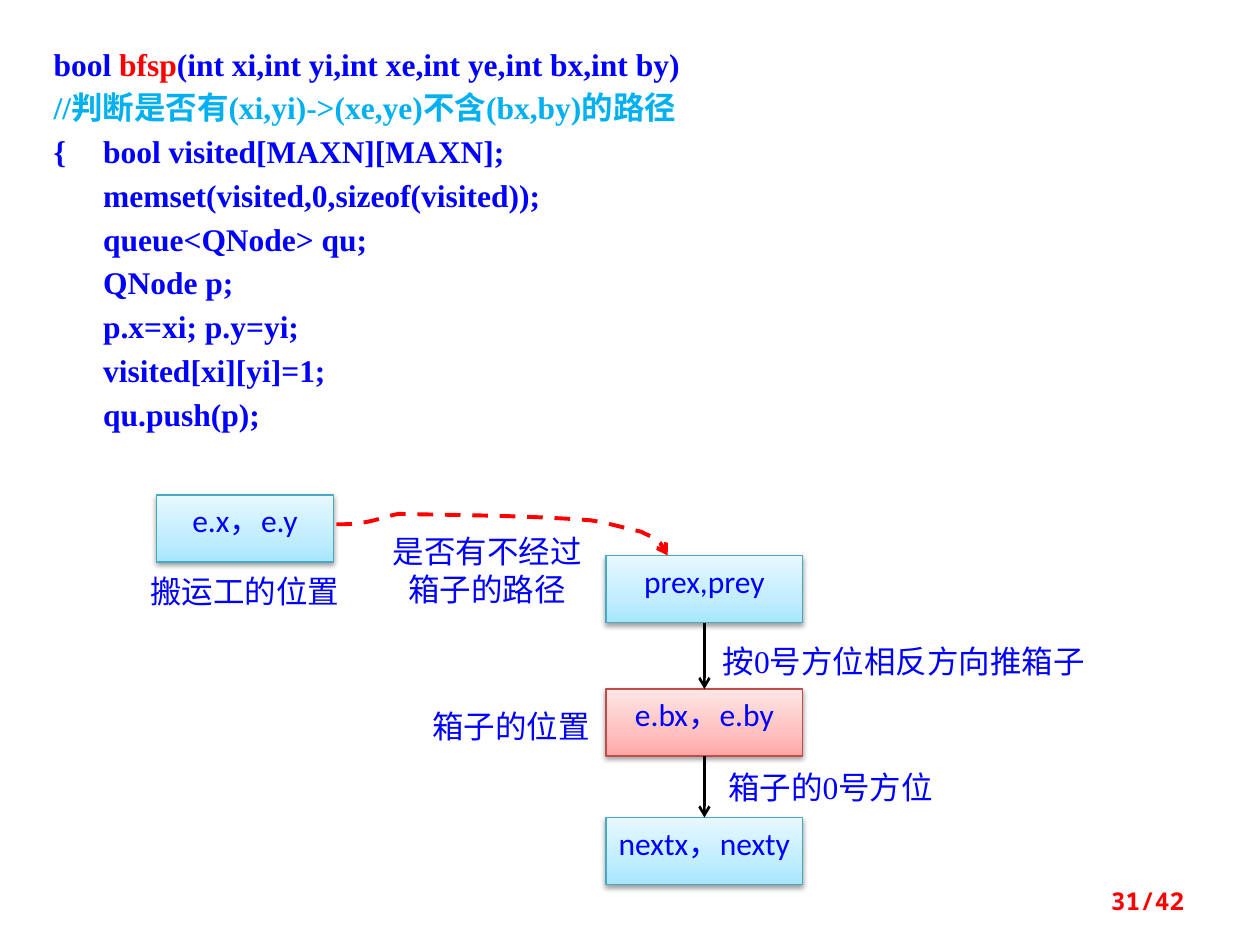
from lxml import etree
from pptx import Presentation, util as u
from pptx.dml.color import RGBColor
from pptx.enum import dml, shapes, text
from pptx.oxml import parse_xml
from pptx.oxml.ns import nsdecls, qn

COLORS = {
    "white": "FFFFFF", "code": "0000FF", "red": "FF0000",
    "comment": "00B0F0", "arrow": "000000",
    "blue_line": "46AAC5", "pink_line": "BF4C48",
}
GRADIENTS = {
    "blue": ("A7E6FF", "C1EDFF", "E7F8FF"),
    "pink": ("FFA6A5", "FFC0BF", "FFE7E7"),
}
SERIF, SANS, MONO = "Times New Roman", "Calibri", "Noto Sans Mono"

CODE = [
    [("bool ", "code"), ("bfsp", "red"),
     ("(int xi,int yi,int xe,int ye,int bx,int by)", "code")],
    [("//判断是否有(xi,yi)->(xe,ye)不含(bx,by)的路径", "comment")],
    [("{  \tbool visited[MAXN][MAXN];", "code")],
    [("\tmemset(visited,0,sizeof(visited));", "code")],
    [("\tqueue<QNode> qu;", "code")],
    [("\tQNode p;", "code")],
    [("\tp.x=xi; p.y=yi;", "code")],
    [("\tvisited[xi][yi]=1;", "code")],
    [("\tqu.push(p);", "code")],
]
NODE_X, NODE_W, NODE_H = 12.22, 3.96, 1.35
PATH_START = (678, 1057)
PATH_POINTS = [
    (693, 1057), (711, 1057), (726, 1054),
    (752, 1052), (777, 1041), (803, 1036),
    (942, 1039), (1057, 1039), (1191, 1049),
    (1224, 1054), (1257, 1064), (1293, 1072),
    (1300, 1077), (1313, 1080), (1321, 1087),
    (1336, 1097), (1326, 1092), (1339, 1105),
    (1349, 1118), (1346, 1107), (1346, 1120),
]


def rgb(name):
    return RGBColor.from_string(COLORS[name])


def apply(obj, fmt):
    for name, value in fmt.items():
        setattr(obj, name, value)


def set_frame(tf, left=0, top=0, right=0, bottom=0,
              anchor=text.MSO_ANCHOR.TOP):
    apply(tf, {
        "word_wrap": True, "vertical_anchor": anchor,
        "margin_left": u.Cm(left), "margin_top": u.Cm(top),
        "margin_right": u.Cm(right), "margin_bottom": u.Cm(bottom),
    })


def add_run(p, content, color="code", font=SERIF, size=18, bold=False):
    r = p.add_run()
    r.text = content
    apply(r.font, {"name": font, "size": u.Pt(size), "bold": bold})
    r.font.color.rgb = rgb(color)


def add_rect(s, x, y, w, h):
    sp = s.shapes.add_shape(shapes.MSO_SHAPE.RECTANGLE,
                            u.Cm(x), u.Cm(y), u.Cm(w), u.Cm(h))
    sp.shadow.inherit = False
    sp.fill.solid()
    sp.fill.fore_color.rgb = rgb("white")
    sp.line.fill.background()
    return sp


def add_code(s):
    sp = add_rect(s, 0.58, 0.58, 24, 8.36)
    tf = sp.text_frame
    set_frame(tf, 0.5, 0.2, 0.25, 0.2)
    tf.auto_size = text.MSO_AUTO_SIZE.SHAPE_TO_FIT_TEXT
    for i, runs in enumerate(CODE):
        p = tf.paragraphs[0] if i == 0 else tf.add_paragraph()
        tabs = etree.SubElement(p._p.get_or_add_pPr(), qn("a:tabLst"))
        etree.SubElement(tabs, qn("a:tab"), pos=str(u.Cm(1)), algn="l")
        apply(p, {"alignment": text.PP_ALIGN.LEFT, "line_spacing": u.Pt(25)})
        for content, color in runs:
            add_run(p, content, color, bold=True)


def add_label(s, content, x, y, w, h):
    tf = add_rect(s, x, y, w, h).text_frame
    set_frame(tf)
    p = tf.paragraphs[0]
    p.alignment = text.PP_ALIGN.CENTER
    add_run(p, content)


def add_node(s, content, y, x=NODE_X, w=NODE_W, tone="blue"):
    sp = add_rect(s, x, y, w, NODE_H)
    stops = "".join(
        f'<a:gs pos="{pos}000"><a:srgbClr val="{color}"/></a:gs>'
        for pos, color in zip((0, 35, 100), GRADIENTS[tone]))
    solid = sp._element.spPr.find(qn("a:solidFill"))
    solid.getparent().replace(solid, parse_xml(
        f'<a:gradFill {nsdecls("a")} rotWithShape="1"><a:gsLst>{stops}</a:gsLst>'
        '<a:lin ang="16200000" scaled="1"/></a:gradFill>'))
    sp.line.color.rgb = rgb(f"{tone}_line")
    sp.line.width = u.Pt(0.75)
    sp._element.spPr.find(qn("a:effectLst")).append(parse_xml(
        f'<a:outerShdw {nsdecls("a")} blurRad="40000" dist="20000" '
        'dir="5400000" rotWithShape="0"><a:srgbClr val="000000">'
        '<a:alpha val="38000"/></a:srgbClr></a:outerShdw>'))
    set_frame(sp.text_frame, top=0.13)
    p = sp.text_frame.paragraphs[0]
    p.alignment = text.PP_ALIGN.CENTER
    add_run(p, content, font=SANS)
    return sp


def style_arrow(sp, color, width):
    sp.line.color.rgb = rgb(color)
    sp.line.width = u.Pt(width)
    etree.SubElement(sp.line._get_or_add_ln(), qn("a:tailEnd"), type="arrow")


def add_arrow(s, upper, lower):
    c = s.shapes.add_connector(shapes.MSO_CONNECTOR.STRAIGHT, 0, 0, 0, 0)
    c.begin_connect(upper, 2)
    c.end_connect(lower, 0)
    style_arrow(c, "arrow", 1.5)
    etree.SubElement(c._element.spPr, qn("a:effectLst"))


def add_walk_path(s):
    builder = s.shapes.build_freeform(*PATH_START, scale=u.Cm(0.01))
    builder.add_line_segments(PATH_POINTS, close=False)
    sp = builder.convert_to_shape()
    sp.shadow.inherit = False
    sp.fill.background()
    sp.line.dash_style = dml.MSO_LINE.DASH
    style_arrow(sp, "red", 2.25)
    path = next(sp._element.iter(qn("a:path")))
    lines = path.findall(qn("a:lnTo"))
    for i in range(0, len(lines), 3):
        curve = etree.SubElement(path, qn("a:cubicBezTo"))
        for line in lines[i:i + 3]:
            curve.append(line[0])
            path.remove(line)


def add_page_number(s):
    tb = s.shapes.add_textbox(u.Cm(18.21), u.Cm(17.65), u.Cm(5.92), u.Cm(1.02))
    set_frame(tb.text_frame, 0.25, 0.13, 0.25, 0.13, text.MSO_ANCHOR.MIDDLE)
    p = tb.text_frame.paragraphs[0]
    p.alignment = text.PP_ALIGN.RIGHT
    add_run(p, "31/42", "red", MONO, 14, True)


def main():
    prs = Presentation()
    prs.slide_width, prs.slide_height = u.Cm(25.4), u.Cm(19.05)
    s = prs.slides.add_slide(prs.slide_layouts[6])
    add_code(s)
    add_label(s, "箱子的位置", 8.36, 14.25, 3.89, 0.79)
    box = add_node(s, "e.bx，e.by", 13.89, tone="pink")
    prev = add_node(s, "prex,prey", 11.2)
    following = add_node(s, "nextx，nexty", 16.48)
    add_label(s, "是否有不经过箱子的路径", 7.75, 10.72, 4.14, 1.4)
    add_label(s, "搬运工的位置", 2.77, 11.53, 4.32, 0.79)
    add_label(s, "按0号方位相反方向推箱子", 14.45, 12.95, 7.54, 0.74)
    add_node(s, "e.x，e.y", 9.98, x=3.15, w=3.58)
    add_arrow(s, box, following)
    add_label(s, "箱子的0号方位", 14.55, 15.49, 4.39, 0.74)
    add_walk_path(s)
    add_arrow(s, prev, box)
    add_page_number(s)
    prs.save("out.pptx")


if __name__ == "__main__":
    main()
